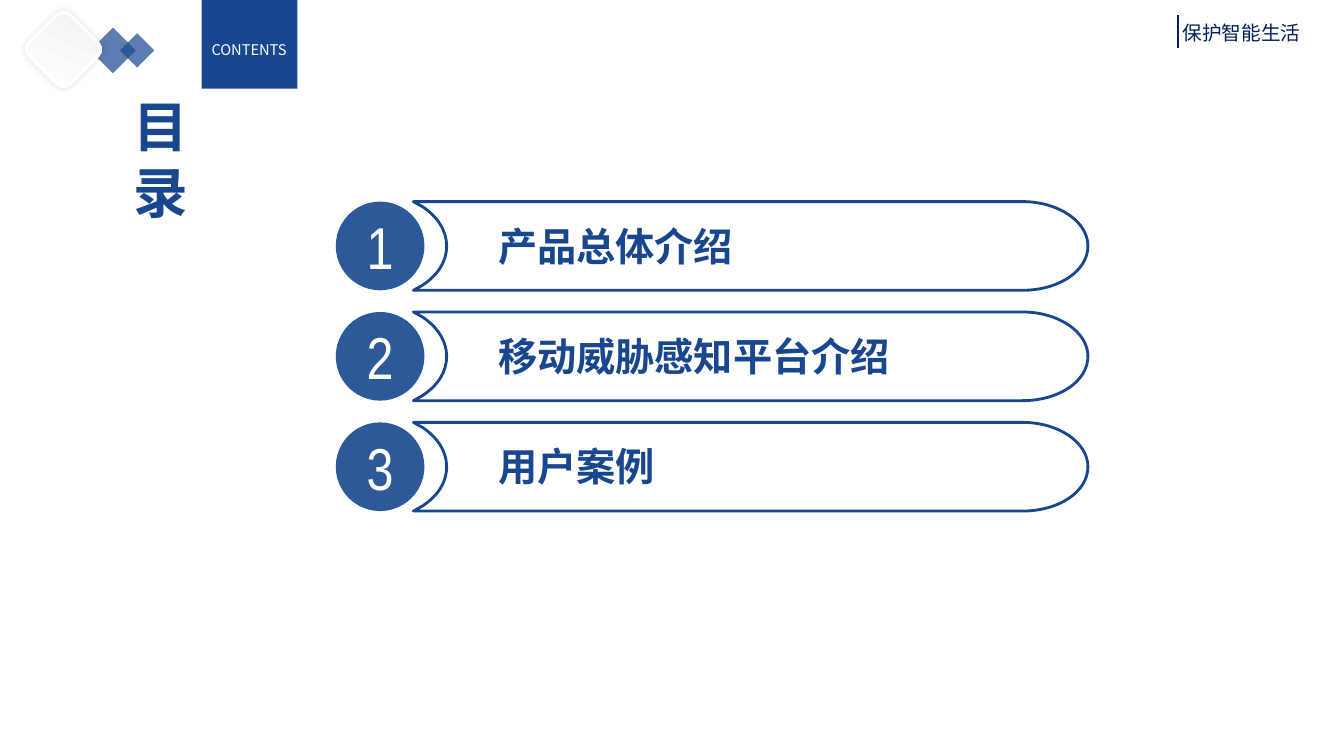
from lxml.etree import SubElement
from pptx import Presentation
from pptx.dml.color import RGBColor
from pptx.enum.shapes import MSO_CONNECTOR, MSO_SHAPE
from pptx.enum.text import MSO_ANCHOR, MSO_AUTO_SIZE, PP_ALIGN
from pptx.oxml.ns import qn
from pptx.util import Inches, Pt

HUES = {"blue": "18478F", "navy": "002060", "white": "FFFFFF",
        "pale": "F2F2F2", "black": "000000"}
SANS = "Noto Sans CJK SC"
TOPICS = ["产品总体介绍", "移动威胁感知平台介绍", "用户案例"]
PILL = [[(6.04, 0)],
        [(6.4, 0), (6.69, 0.2), (6.69, 0.44)],
        [(6.69, 0.69), (6.4, 0.88), (6.04, 0.88)],
        [(0, 0.88)],
        [(0.09, 0.83)],
        [(0.24, 0.73), (0.33, 0.6), (0.33, 0.44)],
        [(0.33, 0.29), (0.24, 0.15), (0.09, 0.05)]]


def hue(name):
    return RGBColor.from_string(HUES[name])


def place(shape, left, top, width, height):
    shape.left, shape.top = Inches(left), Inches(top)
    shape.width, shape.height = Inches(width), Inches(height)


def add_shape(slide, kind, box, fill, alpha=100, turn=0):
    shape = slide.shapes.add_shape(kind, *map(Inches, box))
    shape.shadow.inherit = False
    shape.rotation = turn
    shape.line.fill.background()
    shape.fill.solid()
    shape.fill.fore_color.rgb = hue(fill)
    if alpha < 100:
        color = shape.fill._xPr.find(qn("a:solidFill"))[0]
        SubElement(color, qn("a:alpha"), val=str(alpha * 1000))
    return shape


def write(shape, lines, size, color, font=SANS, bold=False,
          align=PP_ALIGN.LEFT, pitch=None):
    frame = shape.text_frame
    frame.word_wrap = True
    frame.auto_size = MSO_AUTO_SIZE.NONE
    frame.vertical_anchor = MSO_ANCHOR.MIDDLE
    for i, line in enumerate(lines):
        para = frame.add_paragraph() if i else frame.paragraphs[0]
        para.alignment = align
        para.space_before = Pt(0)
        para.line_spacing = pitch
        props = para._p.get_or_add_pPr()
        props.set("marL", "0")
        props.set("indent", "0")
        SubElement(props, qn("a:buNone"))
        run = para.add_run()
        run.text = line
        run.font.size = Pt(size)
        run.font.bold = bold
        run.font.name = font
        run.font.color.rgb = hue(color)
        SubElement(run._r.get_or_add_rPr(), qn("a:ea"), typeface=SANS)


def add_text(slide, box, text, size, color):
    label = slide.shapes.add_textbox(*map(Inches, box))
    write(label, [text], size, color)


def draw_mark(slide, left, top):
    for x, y, side in [(0.62, 0.14, 0.32), (0.9, 0.18, 0.24)]:
        add_shape(slide, MSO_SHAPE.RECTANGLE,
                  (left + x, top + y, side, side), "blue", 70, 225)
    tile = add_shape(slide, MSO_SHAPE.ROUNDED_RECTANGLE,
                     (left, top, 0.58, 0.58), "white", turn=45)
    tile.fill.gradient()
    tile.fill.gradient_angle = 110
    for stop, name in zip(tile.fill.gradient_stops, ["white", "pale"]):
        stop.color.rgb = hue(name)
    tile.line.color.rgb = hue("white")
    tile.line.width = Pt(2)
    effects = tile._element.spPr.find(qn("a:effectLst"))
    shade = SubElement(effects, qn("a:outerShdw"), blurRad=str(Pt(5)),
                       dist="0", dir="0", algn="ctr", rotWithShape="0")
    color = SubElement(shade, qn("a:srgbClr"), val=HUES["black"])
    SubElement(color, qn("a:alpha"), val="11000")


def draw_motto(slide, left, top):
    add_text(slide, (left, top, 1.39, 0.34), "保护智能生活", 14, "navy")
    x = Inches(left + 0.05)
    bar = slide.shapes.add_connector(MSO_CONNECTOR.STRAIGHT, x, Inches(top),
                                     x, Inches(top + 0.33))
    bar.line.color.rgb = hue("navy")
    bar.line.width = Pt(1.5)
    SubElement(bar._element.spPr, qn("a:effectLst"))


def draw_head(slide, left, top):
    add_shape(slide, MSO_SHAPE.RECTANGLE, (left, top, 0.95, 0.89), "blue")
    title = slide.shapes.title
    place(title, left - 0.78, top + 0.88, 2.45, 1.41)
    write(title, ["目", "录"], 39, "blue", bold=True,
          align=PP_ALIGN.JUSTIFY, pitch=Pt(47))
    add_text(slide, (left, top + 0.36, 1.49, 0.29), "CONTENTS", 10.5, "white")


def draw_pill(slide, left, top):
    pen = slide.shapes.build_freeform(Inches(left), Inches(top))
    pen.add_line_segments([(Inches(left + x), Inches(top + y))
                           for step in PILL for x, y in step], close=True)
    pill = pen.convert_to_shape()
    lines = iter(list(pill._element.iter(qn("a:lnTo"))))
    for step in PILL:
        head = next(lines)
        if len(step) == 3:
            head.tag_name = None
            bend = SubElement(head.getparent(), qn("a:cubicBezTo"))
            head.addprevious(bend)
            for line in (head, next(lines), next(lines)):
                bend.append(line[0])
                line.getparent().remove(line)
    pill.shadow.inherit = False
    pill.fill.background()
    pill.line.color.rgb = hue("blue")
    pill.line.width = Pt(2)


def draw_topic(slide, left, top, number, text, holder):
    draw_pill(slide, left + 0.77, top)
    disc = add_shape(slide, MSO_SHAPE.OVAL, (left, top, 0.88, 0.88),
                     "blue", 90)
    frame = disc.text_frame
    frame.margin_left = frame.margin_right = 0
    frame.margin_top = frame.margin_bottom = 0
    write(disc, [str(number)], 42.2, "white", "Arial Narrow",
          align=PP_ALIGN.CENTER)
    place(holder, left + 1.51, top + 0.15, 5.77, 0.57)
    write(holder, [text], 28, "blue", "Arial", True, PP_ALIGN.JUSTIFY)


def main():
    deck = Presentation()
    deck.slide_width, deck.slide_height = Inches(13.33), Inches(7.5)
    slide = deck.slides.add_slide(deck.slide_layouts[4])
    title, *holders = list(slide.placeholders)
    spare = holders.pop()
    spare._element.getparent().remove(spare._element)
    draw_mark(slide, 0.34, 0.2)
    draw_motto(slide, 11.63, 0.15)
    draw_head(slide, 2, -0.01)
    for i, (text, holder) in enumerate(zip(TOPICS, holders)):
        draw_topic(slide, 3.33, 2 + 1.095 * i, i + 1, text, holder)
    deck.save("out.pptx")


if __name__ == "__main__":
    main()
